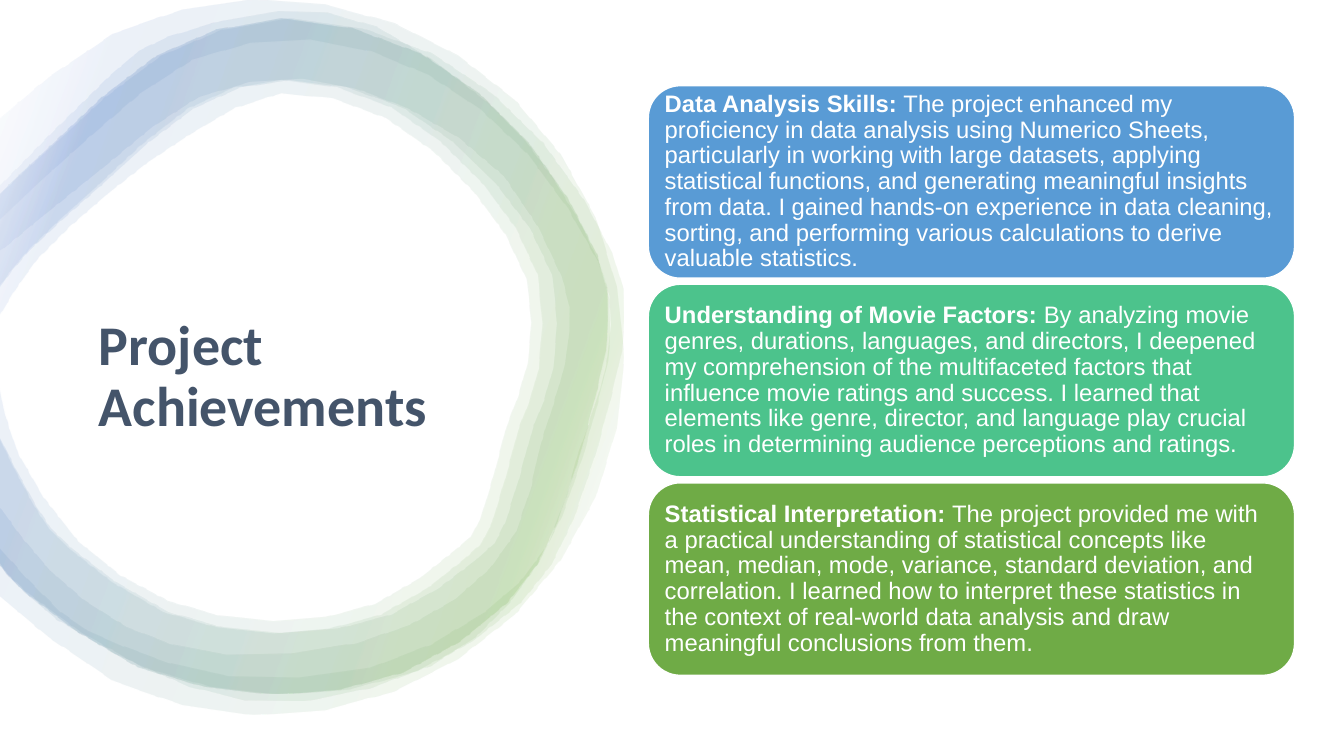
"""Build the Project Achievements slide: translucent rings beside three text cards."""
import math

from lxml import etree
from pptx import Presentation
from pptx import util as u
from pptx.dml.color import RGBColor
from pptx.enum import shapes, text
from pptx.oxml.ns import qn

WHITE = RGBColor(0xFF, 0xFF, 0xFF)
SLATE = RGBColor(0x44, 0x54, 0x6A)
BLUE = RGBColor(0x59, 0x9B, 0xD5)
TEAL = RGBColor(0x4C, 0xC3, 0x8C)
GREEN = RGBColor(0x6F, 0xAB, 0x46)
RING_GREEN = RGBColor(0x70, 0xAD, 0x47)
RING_BLUE = RGBColor(0x44, 0x72, 0xC4)
RING_STOPS = [(0, WHITE), (2, WHITE), (16, RING_GREEN), (85, RING_BLUE), (100, WHITE)]


def smooth(points, steps=2):
    """Return a Catmull-Rom curve through the points."""
    padded = [points[0], *points, points[-1]]
    curve = [points[0]]
    for a, b, c, d in zip(padded, padded[1:], padded[2:], padded[3:]):
        for step in range(1, steps + 1):
            t = step / steps
            curve.append(tuple(
                0.5 * (2 * q + (r - p) * t + (2 * p - 5 * q + 4 * r - s) * t ** 2
                       + (3 * q - p - 3 * r + s) * t ** 3)
                for p, q, r, s in zip(a, b, c, d)))
    return curve


def add_ring(slide, outer, inner):
    """Draw a translucent band between two curves that end at the left edge."""
    outline = [(u.Inches(max(x, 0)), u.Inches(y)) for x, y in smooth(outer) + smooth(inner)]
    builder = slide.shapes.build_freeform(*outline[0])
    builder.add_line_segments(outline[1:], close=True)
    ring = builder.convert_to_shape()
    ring.shadow.inherit = False
    ring.line.fill.background()
    ring.fill.gradient()
    gradient = ring.fill._xPr.find(qn("a:gradFill"))
    for child in list(gradient):
        gradient.remove(child)
    stops = etree.SubElement(gradient, qn("a:gsLst"))
    for position, color in RING_STOPS:
        stop = etree.SubElement(stops, qn("a:gs"), pos=str(position * 1000))
        value = etree.SubElement(stop, qn("a:srgbClr"), val=str(color))
        etree.SubElement(value, qn("a:alpha"), val="10000")
    etree.SubElement(gradient, qn("a:lin"), ang=str(200 * 60000), scaled="0")


presentation = Presentation()
presentation.slide_width = u.Inches(13.33)
presentation.slide_height = u.Inches(7.5)
slide = presentation.slides.add_slide(presentation.slide_layouts[5])

wavy_outer = [
    (0, 1.84), (1.09, 0.75), (1.66, 0.37), (2.75, 0.12), (3.73, 0.27), (4.84, 1.03),
    (5.47, 1.76), (5.94, 2.62), (6.05, 3.29), (5.93, 3.96), (5.57, 5.11), (5.05, 5.97),
    (4.28, 6.59), (3, 6.95), (1.86, 6.8), (0.56, 6.14), (0, 5.61)]
wavy_inner = [
    (0, 5.03), (0.49, 5.65), (1.25, 6.21), (2.24, 6.48), (3.53, 6.37), (4.5, 5.94),
    (5.11, 5.27), (5.35, 4.41), (5.54, 3.81), (5.64, 3.29), (5.56, 2.74), (4.99, 1.75),
    (4.04, 1.08), (2.99, 0.79), (1.96, 0.97), (1.05, 1.64), (0, 2.49)]
main_outer = [
    (0, 1.92), (0.56, 1.39), (1.55, 0.55), (2.79, 0.18), (4.18, 0.53), (5.25, 1.42),
    (5.92, 2.52), (6.03, 3.17), (5.92, 3.86), (5.54, 5.14), (5.03, 5.97), (4, 6.66),
    (2.71, 6.88), (1.37, 6.61), (0.27, 5.88), (0, 5.58)]
thick_inner = [
    (0, 3.83), (0.18, 4.48), (0.78, 5.36), (1.67, 5.95), (2.71, 6.15), (3.72, 5.98),
    (4.51, 5.45), (4.77, 5.12), (5.02, 4.23), (5.23, 3.6), (5.22, 2.76), (4.7, 1.9),
    (3.83, 1.17), (2.79, 0.92), (1.9, 1.32), (1.08, 1.91), (0.37, 2.57), (0, 3.13)]
thin_inner = [
    (0, 4.34), (0.35, 5.02), (0.7, 5.44), (1.62, 6.06), (2.71, 6.27), (3.77, 6.09),
    (4.6, 5.54), (4.88, 5.17), (5.14, 4.25), (5.34, 3.65), (5.33, 2.72), (4.79, 1.82),
    (3.88, 1.06), (2.79, 0.79), (1.87, 1.07), (0.99, 1.82), (0.28, 2.48), (0, 2.84)]
circle_outer = [
    (2.63 - 3.55 * math.cos(math.radians(angle)), 3.54 - 3.55 * math.sin(math.radians(angle)))
    for angle in range(42, 319, 23)]
circle_inner = [
    (0, 5.44), (0.6, 6.07), (1.2, 6.4), (2.26, 6.7), (3.66, 6.62), (4.78, 6.08),
    (5.42, 5.4), (5.73, 4.47), (5.94, 3.85), (6.05, 3.22), (5.92, 2.59), (5.22, 1.52),
    (4.24, 0.74), (3.07, 0.39), (1.9, 0.59), (0.9, 1.34), (0, 2.17)]

wide_outer, wide_inner = (
    [(x * 1.025, y) for x, y in points] for points in (main_outer, thin_inner))
for outer, inner in [
    (wavy_outer, wavy_inner), (wide_outer, wide_inner), (main_outer, thick_inner),
    (main_outer, thin_inner), (circle_outer, circle_inner),
]:
    add_ring(slide, outer, inner)

title = slide.shapes.title
title.left, title.top = u.Inches(0.88), u.Inches(2.21)
title.width, title.height = u.Inches(4), u.Inches(3.08)
title.text_frame.text = "Project Achievements"
title.text_frame.word_wrap = True
title.text_frame.auto_size = text.MSO_AUTO_SIZE.NONE
title.text_frame.vertical_anchor = text.MSO_ANCHOR.MIDDLE
paragraph = title.text_frame.paragraphs[0]
paragraph.alignment = text.PP_ALIGN.LEFT
paragraph.line_spacing = 0.9
font = paragraph.runs[0].font
font.name, font.size, font.bold = "Calibri", u.Pt(40), True
font.color.rgb = SLATE

achievements = [
    (BLUE, "Data Analysis Skills:",
     " The project enhanced my proficiency in data analysis using Numerico Sheets, "
     "particularly in working with large datasets, applying statistical functions, and "
     "generating meaningful insights from data. I gained hands-on experience in data "
     "cleaning, sorting, and performing various calculations to derive valuable statistics."),
    (TEAL, "Understanding of Movie Factors:",
     " By analyzing movie genres, durations, languages, and directors, I deepened my "
     "comprehension of the multifaceted factors that influence movie ratings and success. "
     "I learned that elements like genre, director, and language play crucial roles in "
     "determining audience perceptions and ratings."),
    (GREEN, "Statistical Interpretation:",
     " The project provided me with a practical understanding of statistical concepts like "
     "mean, median, mode, variance, standard deviation, and correlation. I learned how to "
     "interpret these statistics in the context of real-world data analysis and draw "
     "meaningful conclusions from them."),
]
for row, (color, heading, description) in enumerate(achievements):
    card = slide.shapes.add_shape(
        shapes.MSO_SHAPE.ROUNDED_RECTANGLE,
        u.Inches(6.43), u.Inches(0.85 + 1.97 * row), u.Inches(6.41), u.Inches(1.91))
    card.shadow.inherit = False
    card.fill.solid()
    card.fill.fore_color.rgb = color
    card.line.color.rgb = WHITE
    card.line.width = u.Pt(1)
    frame = card.text_frame
    frame.word_wrap = True
    frame.vertical_anchor = text.MSO_ANCHOR.MIDDLE
    frame.margin_left = frame.margin_right = u.Inches(0.07)
    frame.margin_top = frame.margin_bottom = u.Inches(0.07)
    paragraph = frame.paragraphs[0]
    paragraph.alignment = text.PP_ALIGN.LEFT
    paragraph.line_spacing = 0.9
    for wording, bold in [(heading, True), (description, False)]:
        run = paragraph.add_run()
        run.text = wording
        run.font.name, run.font.size, run.font.bold = "Arial", u.Pt(17), bold
        run.font.color.rgb = WHITE

presentation.save("out.pptx")
